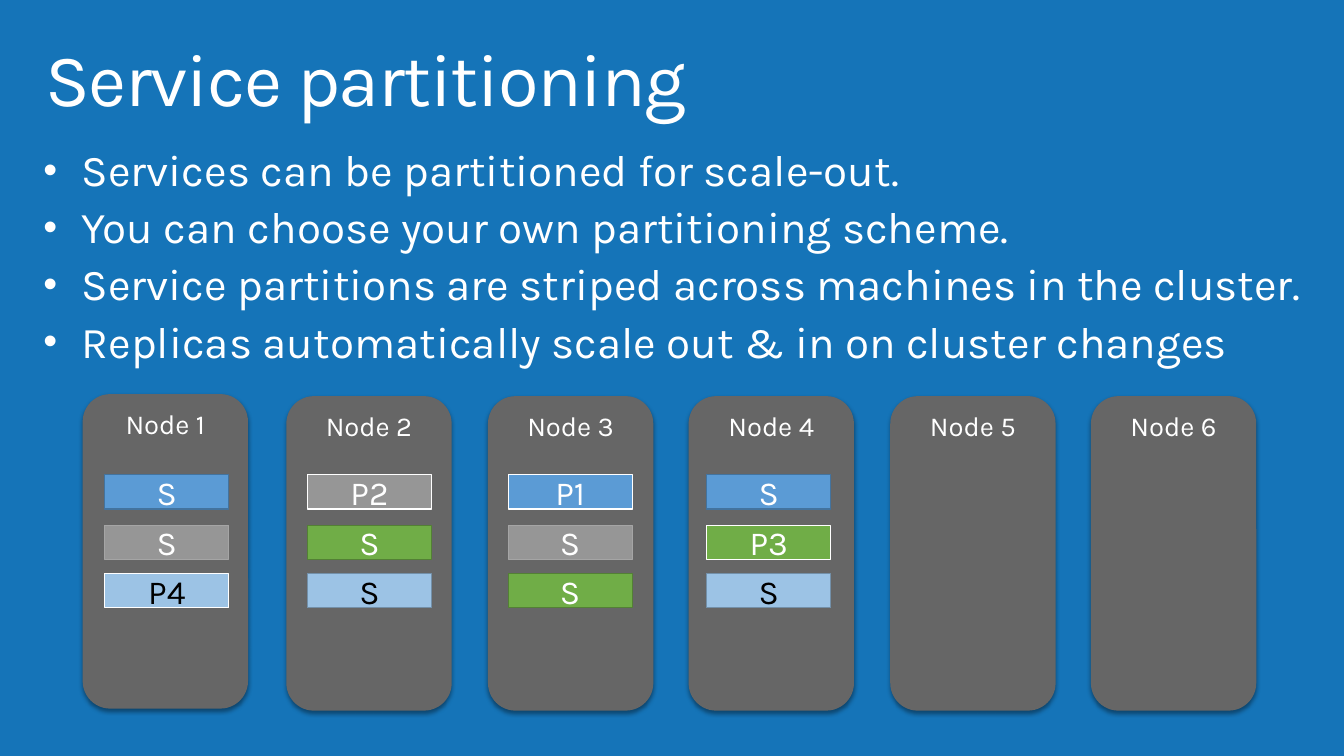
from typing import NamedTuple

from lxml import etree
from pptx import Presentation
from pptx.dml.color import RGBColor
from pptx.enum.shapes import MSO_SHAPE
from pptx.enum.text import MSO_ANCHOR, MSO_AUTO_SIZE, PP_ALIGN
from pptx.oxml.ns import qn
from pptx.util import Inches, Pt

RECT, ROUND = MSO_SHAPE.RECTANGLE, MSO_SHAPE.ROUNDED_RECTANGLE
TOP, MIDDLE = MSO_ANCHOR.TOP, MSO_ANCHOR.MIDDLE
CENTER, LEFT = PP_ALIGN.CENTER, PP_ALIGN.LEFT
NO_FIT = MSO_AUTO_SIZE.NONE

FONT = "Karla"
WHITE, BLACK = "FFFFFF", "000000"
BLUE, GREY = "1574B8", "666666"
ROWS = (4.71, 5.21, 5.69)


class Shard(NamedTuple):
    fill: str
    edge: str
    ink: str


class Node(NamedTuple):
    left: float
    top: float
    inset: float
    shards: tuple[int, ...] = ()
    primary: int = 0


SHARDS = {
    1: Shard("5B9BD5", "43739E", WHITE),
    2: Shard("969696", "A5A5A5", WHITE),
    3: Shard("70AD47", "538035", WHITE),
    4: Shard("9CC3E5", "7390A9", BLACK),
}
NODES = (
    Node(0.82, 3.91, 0.22, (1, 2, 4), 4),
    Node(2.84, 3.93, 0.21, (2, 3, 4), 2),
    Node(4.84, 3.93, 0.2, (1, 2, 3), 1),
    Node(6.83, 3.93, 0.18, (1, 3, 4), 3),
    Node(8.83, 3.93, 0.2),
    Node(10.82, 3.93, 0.2),
)
POINTS = (
    "Services can be partitioned for scale-out.",
    "You can choose your own partitioning scheme.",
    "Service partitions are striped across machines in the cluster.",
    "Replicas automatically scale out & in on cluster changes",
)


def color(code: str) -> RGBColor:
    return RGBColor.from_string(code)


def style(para, size: float, ink: str = WHITE, align=LEFT) -> None:
    para.alignment = align
    para.font.name = FONT
    para.font.size = Pt(size)
    para.font.color.rgb = color(ink)


def place(shape, left: float, top: float, width: float, height: float) -> None:
    shape.left, shape.top = Inches(left), Inches(top)
    shape.width, shape.height = Inches(width), Inches(height)


def add_box(slide, kind, area: tuple, text: str, fill: str, ink: str,
            size: float, anchor):
    box = slide.shapes.add_shape(kind, *map(Inches, area))
    box.shadow.inherit = False
    box.fill.solid()
    box.fill.fore_color.rgb = color(fill)
    box.line.fill.background()
    frame = box.text_frame
    frame.word_wrap = True
    frame.vertical_anchor = anchor
    frame.text = text
    style(frame.paragraphs[0], size, ink, CENTER)
    return box


def add_shadow(shape) -> None:
    effects = shape._element.spPr.find(qn("a:effectLst"))
    outer = etree.SubElement(effects, qn("a:outerShdw"), blurRad=str(Pt(3)),
                             dist=str(Pt(2)), dir="5400000", rotWithShape="0")
    tint = etree.SubElement(outer, qn("a:srgbClr"), val=BLACK)
    etree.SubElement(tint, qn("a:alpha"), val="40000")


def add_node(slide, number: int, node: Node) -> None:
    """Draw a machine and the replicas it hosts."""
    area = (node.left, node.top, 1.64, 3.12)
    add_shadow(add_box(slide, ROUND, area, f"Node {number}", GREY, WHITE,
                       19.6, TOP))
    for top, key in zip(ROWS, node.shards):
        shard, main_copy = SHARDS[key], key == node.primary
        area = (node.left + node.inset, top, 1.23, 0.34)
        chip = add_box(slide, RECT, area, f"P{key}" if main_copy else "S",
                       shard.fill, shard.ink, 24, MIDDLE)
        chip.line.color.rgb = color(WHITE if main_copy else shard.edge)
        chip.line.width = Pt(0.85)


def fill_title(title) -> None:
    place(title, 0.29, 0.32, 12.62, 0.98)
    frame = title.text_frame
    frame.text = "Service partitioning"
    frame.auto_size = NO_FIT
    frame.vertical_anchor = TOP
    frame.margin_left = frame.margin_right = Inches(0.16)
    frame.margin_top = frame.margin_bottom = Inches(0.1)
    para = frame.paragraphs[0]
    para.line_spacing = 0.9
    style(para, 52.9)
    para.runs[0]._r.get_or_add_rPr().set("spc", "-100")


def fill_list(body) -> None:
    place(body, 0.33, 1.42, 13.12, 2)
    frame = body.text_frame
    frame.text = "\n".join(POINTS)
    frame.auto_size = NO_FIT
    frame.vertical_anchor = TOP
    for index, para in enumerate(frame.paragraphs):
        props = para._p.get_or_add_pPr()
        props.set("marL", str(Inches(0.38)))
        props.set("indent", str(Inches(-0.38)))
        etree.SubElement(props, qn("a:buSzPct"), val="90000")
        etree.SubElement(props, qn("a:buFont"), typeface="Arial")
        etree.SubElement(props, qn("a:buChar"), char="•")
        para.line_spacing = 0.9
        para.space_before = Pt(7 if index else 0)
        style(para, 31.4)


def main() -> None:
    deck = Presentation()
    deck.slide_width, deck.slide_height = Inches(13.33), Inches(7.5)
    slide = deck.slides.add_slide(deck.slide_layouts[1])
    slide.background.fill.solid()
    slide.background.fill.fore_color.rgb = color(BLUE)
    fill_title(slide.shapes.title)
    fill_list(slide.placeholders[1])
    for number, node in enumerate(NODES, 1):
        add_node(slide, number, node)
    deck.save("out.pptx")


if __name__ == "__main__":
    main()
